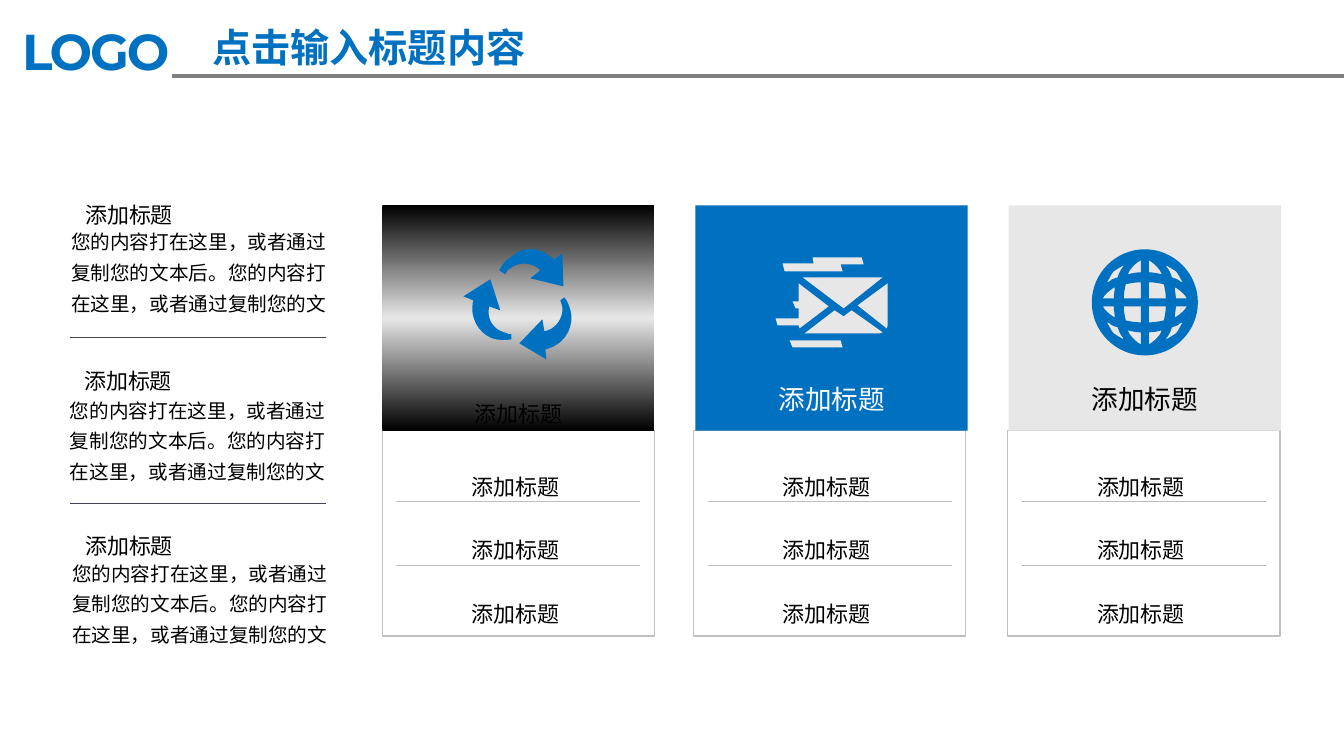
from copy import deepcopy
from pptx import Presentation
from pptx import util as u
from pptx.dml.color import RGBColor
from pptx.enum import shapes, text
from pptx.oxml import ns, xmlchemy

PX = 9080
BLUE = RGBColor(0x00, 0x70, 0xC0)
BLACK = RGBColor(0, 0, 0)
WHITE = RGBColor(255, 255, 255)
PALE = RGBColor(0xE7, 0xE7, 0xE7)
BORDER = RGBColor(0xBF, 0xBF, 0xBF)
SLATE = RGBColor(0x41, 0x44, 0x55)
GRAY = RGBColor(0x80, 0x80, 0x80)
CJK = "Noto Sans CJK SC"
HEADING = "添加标题"
BODY = "您的内容打在这里，或者通过复制您的文本后。您的内容打在这里，或者通过复制您的文"

SIDE_NOTES = [((56, 179), (61, 218)), ((55, 345), (60, 386)), ((56, 510), (62, 549))]
COLUMN_LEFTS = (382, 693, 1007)
CARD_LEFTS = (382, 695, 1008)

RECYCLE = [
    [(546, 359), (519, 343), (542, 319), (544, 331), (555, 329, 563, 318, 562, 307),
     (561, 304, 561, 302, 560, 300), (564, 297), (568, 302, 570, 308, 571, 315),
     (572, 331, 562, 345, 545, 349)],
    [(463, 296), (490, 279), (500, 310), (489, 306), (486, 317, 492, 329, 504, 332),
     (506, 333, 509, 334, 511, 334), (511, 339), (506, 340, 498, 340, 492, 338),
     (477, 332, 469, 316, 473, 300)],
    [(562, 253), (554, 259), (548, 254, 541, 250, 534, 249), (526, 248, 518, 250, 512, 256),
     (505, 260, 502, 264, 499, 270), (505, 274), (506, 271, 508, 269, 510, 268),
     (519, 261, 532, 262, 540, 270), (530, 278), (563, 286)],
]
MAIL = [
    [(802, 277), (882, 277), (843, 308)],
    [(792, 301), (795, 308), (798, 308), (798, 318), (775, 318), (777, 325), (798, 325),
     (799, 328), (828, 306), (798, 283), (798, 301)],
    [(789, 340), (840, 340), (842, 347), (792, 347)],
    [(812, 257), (861, 257), (863, 264), (840, 264), (842, 271), (784, 271), (782, 263),
     (813, 263)],
    [(887, 283), (857, 305), (886, 328), (887, 325)],
    [(882, 332), (879, 333), (804, 333), (834, 310), (843, 316), (851, 310)],
]
GLOBE_CENTER = (1144, 302)
GLOBE_RIM = [(0, -53), (29, -53, 53, -29, 53, 0), (53, 29, 29, 53, 0, 53),
             (-29, 53, -53, 29, -53, 0), (-53, -29, -29, -53, 0, -53)]
GLOBE_QUARTER = [
    [(4, 42), (4, 30), (8, 30, 13, 29, 17, 28), (15, 32), (12, 36, 8, 40, 4, 42)],
    [(4, 20), (4, 4), (21, 4), (21, 9, 20, 14, 19, 18), (15, 19, 10, 20, 4, 20)],
    [(42, 4), (31, 4), (31, 8, 30, 11, 30, 15), (32, 14), (36, 11, 40, 8, 42, 4)],
    [(27, 25), (30, 24, 34, 23, 35, 21), (38, 20), (35, 24, 34, 28, 31, 31),
     (28, 33, 25, 35, 21, 37), (22, 35), (24, 33, 26, 29, 27, 25)],
]


def add_text(slide, words, box, size, color=BLACK, font=CJK, bold=False,
             align=text.PP_ALIGN.CENTER, leading=None, inset=(10, 5), **run_attributes):
    label = slide.shapes.add_textbox(*(n * PX for n in box))
    frame = label.text_frame
    frame.word_wrap = True
    frame.auto_size = text.MSO_AUTO_SIZE.SHAPE_TO_FIT_TEXT
    frame.margin_left = frame.margin_right = inset[0] * PX
    frame.margin_top = frame.margin_bottom = inset[1] * PX
    paragraph = frame.paragraphs[0]
    paragraph.alignment = align
    if leading:
        paragraph.line_spacing = leading
    run = paragraph.add_run()
    run.text = words
    run.font.size = u.Pt(size)
    run.font.bold = bold
    run.font.name = font
    run.font.color.rgb = color
    properties = run.font._element
    for name, value in run_attributes.items():
        properties.set(name, value)
    east_asian = xmlchemy.OxmlElement("a:ea")
    east_asian.set("typeface", font)
    properties.find(ns.qn("a:latin")).addnext(east_asian)


def add_heading(slide, left, top):
    add_text(slide, HEADING, (left, top, 146, 40), 27, baseline="-3000")


def add_rule(slide, left, right, y, color, width=1):
    rule = slide.shapes.add_connector(shapes.MSO_CONNECTOR.STRAIGHT,
                                      left * PX, y * PX, right * PX, y * PX)
    rule.line.color.rgb = color
    rule.line.width = u.Pt(width)
    rule._element.spPr.append(xmlchemy.OxmlElement("a:effectLst"))


def add_panel(slide, box, fill=None, border=None):
    panel = slide.shapes.add_shape(shapes.MSO_SHAPE.RECTANGLE, *(n * PX for n in box))
    panel.shadow.inherit = False
    if fill is None:
        panel.fill.background()
    else:
        panel.fill.solid()
        panel.fill.fore_color.rgb = fill
    if border is None:
        panel.line.fill.background()
    else:
        panel.line.color.rgb = border
        panel.line.width = u.Pt(1)
    return panel


def shade_dark_edges(panel):
    panel.fill.gradient()
    panel.fill.gradient_angle = 90
    stops = panel._element.spPr.find(".//" + ns.qn("a:gsLst"))
    stops.insert(1, deepcopy(stops[0]))
    for stop, position, color in zip(panel.fill.gradient_stops, (0, 0.5, 1),
                                     (BLACK, PALE, BLACK)):
        stop.position = position
        stop.color.rgb = color


def bend(corner, segment, left, top):
    curve = xmlchemy.OxmlElement("a:cubicBezTo")
    for x, y in zip(segment[::2], segment[1::2]):
        point = xmlchemy.OxmlElement("a:pt")
        point.set("x", str(x - left))
        point.set("y", str(y - top))
        curve.append(point)
    corner.getparent().replace(corner, curve)


def add_icon(slide, contours, color):
    ends = [[segment[-2:] for segment in contour] for contour in contours]
    builder = slide.shapes.build_freeform(*ends[0][0], scale=PX)
    for number, contour in enumerate(ends):
        if number:
            builder.move_to(*contour[0])
        builder.add_line_segments(contour[1:], close=True)
    icon = builder.convert_to_shape()
    left = min(x for contour in ends for x, y in contour)
    top = min(y for contour in ends for x, y in contour)
    corners = list(icon._element.spPr.iter(ns.qn("a:lnTo")))
    segments = [segment for contour in contours for segment in contour[1:]]
    for corner, segment in zip(corners, segments):
        if len(segment) == 6:
            bend(corner, segment, left, top)
    icon.shadow.inherit = False
    icon.fill.solid()
    icon.fill.fore_color.rgb = color
    icon.line.fill.background()


def place_on_globe(contour, flip_x=1, flip_y=1):
    flips = (flip_x, flip_y)
    return [tuple(GLOBE_CENTER[i % 2] + n * flips[i % 2] for i, n in enumerate(segment))
            for segment in contour]


def globe_contours():
    windows = [place_on_globe(window, flip_x, flip_y)
               for flip_x in (-1, 1) for flip_y in (-1, 1) for window in GLOBE_QUARTER]
    return [place_on_globe(GLOBE_RIM)] + windows


def add_column(slide, left):
    for row in range(3):
        add_heading(slide, left + 60, 451 + row * 127 // 2)
    add_panel(slide, (left, 430, 272, 205), border=BORDER)
    for y in (501, 565):
        add_rule(slide, left + 14, left + 258, y, BORDER)


def add_card(slide, left, fill, contours, icon_color):
    card = add_panel(slide, (left, 205, 272, 225), fill)
    add_icon(slide, contours, icon_color)
    return card


def main():
    deck = Presentation()
    deck.slide_width, deck.slide_height = 1343 * PX, 755 * PX
    slide = deck.slides.add_slide(deck.slide_layouts[6])

    add_text(slide, "LOGO", (9, 13, 187, 75), 36, BLUE, "Montserrat", True,
             text.PP_ALIGN.LEFT, inset=(13, 7), spc="-150")
    add_rule(slide, 172, 1343, 76, GRAY, 2.25)

    for y in (337, 503):
        add_rule(slide, 70, 326, y, SLATE)
    for heading_at, body_at in SIDE_NOTES:
        add_heading(slide, *heading_at)
        add_text(slide, BODY, (*body_at, 286, 106), 14,
                 align=text.PP_ALIGN.LEFT, leading=1.3)

    for left in COLUMN_LEFTS:
        add_column(slide, left)

    recycle_left, mail_left, globe_left = CARD_LEFTS
    recycle_card = add_card(slide, recycle_left, PALE, RECYCLE, BLUE)
    shade_dark_edges(recycle_card)
    add_heading(slide, recycle_left + 63, 378)
    add_card(slide, mail_left, BLUE, MAIL, PALE)
    add_card(slide, globe_left, PALE, globe_contours(), BLUE)
    for left, color in ((mail_left, WHITE), (globe_left, BLACK)):
        add_text(slide, HEADING, (left + 63, 377, 146, 42), 19, color)
    add_text(slide, "点击输入标题内容", (187, 18, 363, 57), 28, BLUE, bold=True)

    deck.save("out.pptx")


if __name__ == "__main__":
    main()
